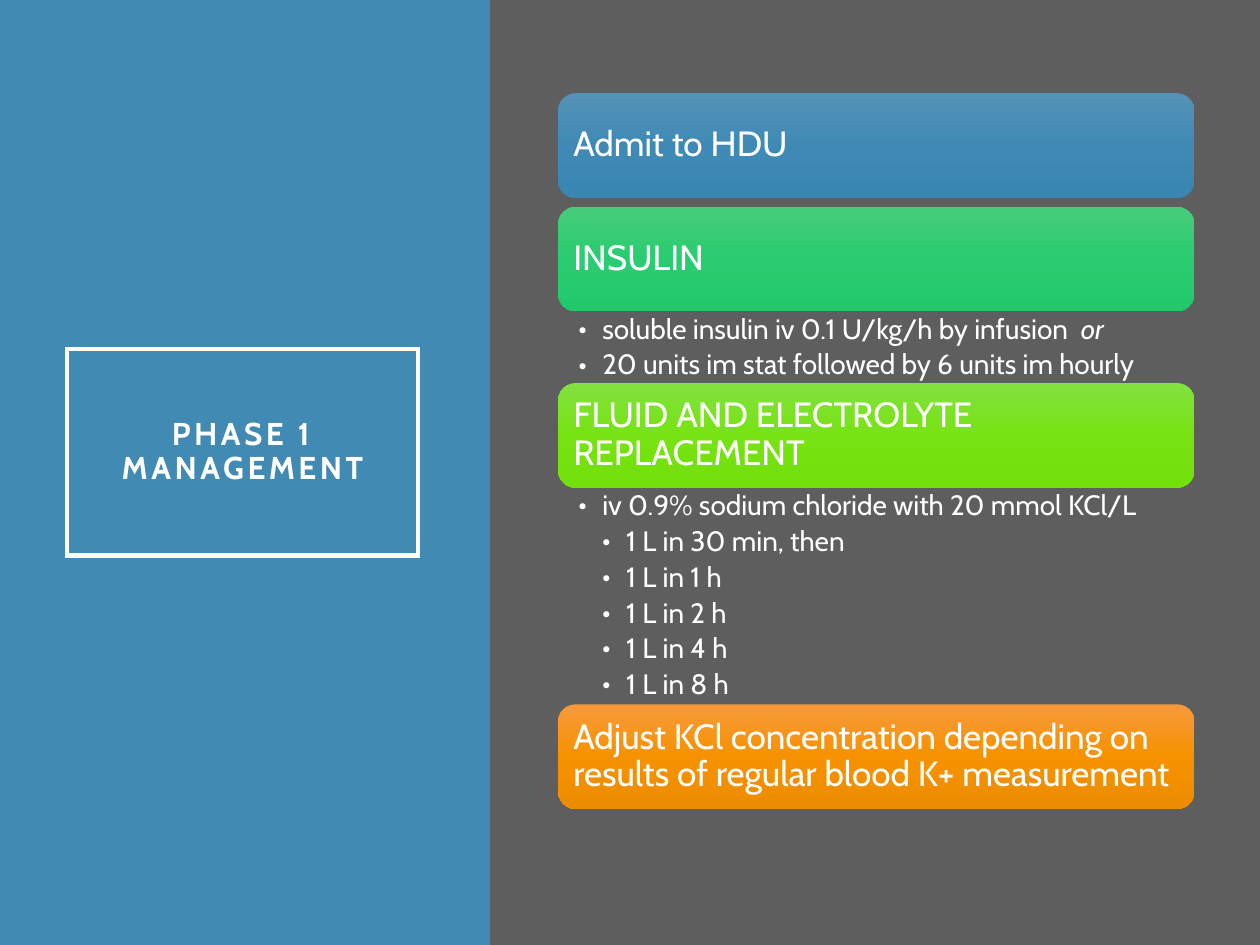
"""Build the Phase 1 management slide."""
import copy
from dataclasses import dataclass
from typing import Any

import lxml.etree
import pptx
import pptx.dml.color
import pptx.enum.shapes
import pptx.enum.text
import pptx.oxml.ns
import pptx.util

Inches = pptx.util.Inches
Pt = pptx.util.Pt
SHAPE = pptx.enum.shapes.MSO_SHAPE
ANCHOR = pptx.enum.text.MSO_ANCHOR
ALIGN = pptx.enum.text.PP_ALIGN
qn = pptx.oxml.ns.qn

FONT = "Cabin"
WHITE, GREY, BLUE = "FFFFFF", "5E5E5E", "418AB3"
LEFT, TOP, WIDTH, CARD_H = 4.43, 0.74, 5.05, 0.83
INDENT = 0.19


@dataclass
class Bullet:
    text: str
    level: int = 1
    italic: str = ""


@dataclass
class Card:
    heading: str
    stops: tuple[str, str, str]
    body_h: float
    bullets: tuple[Bullet, ...] = ()


CARDS = [
    Card("Admit to HDU", ("5592B7", "3F8AB5", "3986B1"), 0.07),
    Card("INSULIN", ("47CC7B", "29CC70", "22C96B"), 0.57, (
        Bullet("soluble insulin iv 0.1 U/kg/h by infusion  ", italic="or"),
        Bullet("20 units im stat followed by 6 units im hourly"),
    )),
    Card("FLUID AND ELECTROLYTE REPLACEMENT", ("82E13F", "77E313", "72E00B"), 1.72, (
        Bullet("iv 0.9% sodium chloride with 20 mmol KCl/L"),
        *(Bullet(f"1 L in {time}", 2) for time in ("30 min, then", "1 h", "2 h", "4 h", "8 h")),
    )),
    Card("Adjust KCl concentration depending on results of regular blood K+ measurement",
         ("F79A3D", "F69200", "EC8C00"), 0),
]


def rgb(value: str) -> pptx.dml.color.RGBColor:
    """Turn a hex string into a colour."""
    return pptx.dml.color.RGBColor.from_string(value)


def apply(obj: Any, **values: Any) -> None:
    """Set each named attribute on an object."""
    for name, value in values.items():
        setattr(obj, name, value)


def add_box(slide: Any, kind: Any, x: float, y: float, w: float, h: float, fill: str = "") -> Any:
    """Add a shape with no outline or shadow and an optional fill."""
    sp = slide.shapes.add_shape(kind, Inches(x), Inches(y), Inches(w), Inches(h))
    sp.shadow.inherit = False
    sp.line.fill.background()
    if fill:
        sp.fill.solid()
        sp.fill.fore_color.rgb = rgb(fill)
    else:
        sp.fill.background()
    return sp


def set_gradient(sp: Any, stops: tuple[str, str, str]) -> None:
    """Fill a shape with three colours from top to bottom."""
    sp.fill.gradient()
    sp.fill.gradient_angle = 270
    gs_list = sp._element.spPr.find(qn("a:gradFill")).find(qn("a:gsLst"))
    gs_list.insert(1, copy.deepcopy(gs_list[0]))
    for i, (stop, color) in enumerate(zip(sp.fill.gradient_stops, stops)):
        stop.position = i / 2
        stop.color.rgb = rgb(color)


def set_frame(tf: Any, inset_x: float, inset_y: float, anchor: Any) -> None:
    """Set wrapping, insets and vertical anchor of a text frame."""
    apply(tf, word_wrap=True, vertical_anchor=anchor,
          margin_left=Inches(inset_x), margin_right=Inches(inset_x),
          margin_top=Inches(inset_y), margin_bottom=Inches(inset_y))


def add_run(p: Any, text: str, size: float, **values: Any) -> Any:
    """Add white text to a paragraph."""
    r = p.add_run()
    r.text = text
    apply(r.font, name=FONT, size=Pt(size), **values)
    r.font.color.rgb = rgb(WHITE)
    return r


def add_title(slide: Any) -> None:
    """Add the framed slide title."""
    sp = add_box(slide, SHAPE.RECTANGLE, 0.53, 2.77, 2.79, 1.64)
    sp.line.color.rgb = rgb(WHITE)
    sp.line.width = Pt(2.5)
    ln = sp._element.spPr.find(qn("a:ln"))
    lxml.etree.SubElement(ln, qn("a:miter")).set("lim", "800000")
    set_frame(sp.text_frame, 0.2, 0.2, ANCHOR.MIDDLE)
    p = sp.text_frame.paragraphs[0]
    apply(p, alignment=ALIGN.CENTER, line_spacing=0.9)
    r = add_run(p, "PHASE 1 MANAGEMENT", 18, bold=True)
    r._r.get_or_add_rPr().set("spc", "200")


def add_card(slide: Any, card: Card, y: float) -> None:
    """Add a gradient heading card."""
    sp = add_box(slide, SHAPE.ROUNDED_RECTANGLE, LEFT, y, WIDTH, CARD_H)
    set_gradient(sp, card.stops)
    set_frame(sp.text_frame, 0.08, 0.08, ANCHOR.MIDDLE)
    p = sp.text_frame.paragraphs[0]
    apply(p, alignment=ALIGN.LEFT, line_spacing=0.9, space_after=Pt(7))
    add_run(p, card.heading, 20)


def add_bullets(slide: Any, card: Card, y: float) -> None:
    """Add the bulleted details under a card."""
    tb = slide.shapes.add_textbox(Inches(LEFT), Inches(y), Inches(WIDTH), Inches(card.body_h))
    tf = tb.text_frame
    set_frame(tf, 0.16, 0.03, ANCHOR.TOP)
    for i, bullet in enumerate(card.bullets):
        p = tf.add_paragraph() if i else tf.paragraphs[0]
        apply(p, level=bullet.level, line_spacing=0.9, space_after=Pt(3.2))
        pPr = p._p.get_or_add_pPr()
        pPr.set("marL", str(Inches(INDENT * bullet.level)))
        pPr.set("indent", str(-Inches(INDENT)))
        lxml.etree.SubElement(pPr, qn("a:buFont")).set("typeface", FONT)
        lxml.etree.SubElement(pPr, qn("a:buChar")).set("char", "•")
        add_run(p, bullet.text, 16)
        if bullet.italic:
            add_run(p, bullet.italic, 16, italic=True)


def main() -> None:
    """Build and save the slide."""
    prs = pptx.Presentation()
    apply(prs, slide_width=Inches(10), slide_height=Inches(7.5))
    slide = prs.slides.add_slide(prs.slide_layouts[6])
    slide.background.fill.solid()
    slide.background.fill.fore_color.rgb = rgb(GREY)
    add_box(slide, SHAPE.RECTANGLE, 0, 0, 3.89, 7.5, BLUE)
    add_title(slide)
    add_box(slide, SHAPE.RECTANGLE, 3.9, 0, 6.1, 7.5, GREY)
    y = TOP
    for card in CARDS:
        add_card(slide, card, y)
        y += CARD_H
        if card.bullets:
            add_bullets(slide, card, y)
        y += card.body_h
    prs.save("out.pptx")


main()
